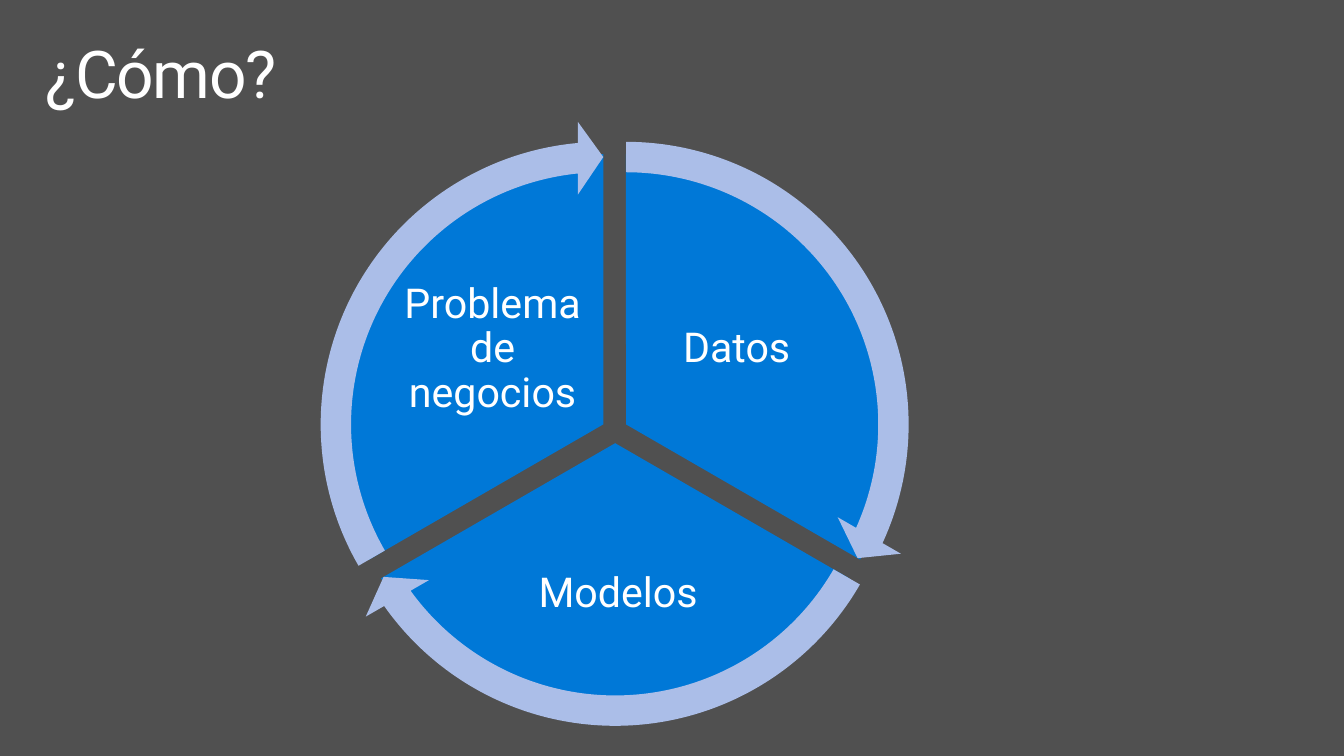
"""Build a slide with a three-part cycle of wedges and circular arrows."""
from dataclasses import dataclass

from pptx import Presentation
from pptx.dml.color import RGBColor
from pptx.enum.shapes import MSO_SHAPE
from pptx.enum.text import MSO_ANCHOR, MSO_AUTO_SIZE, PP_ALIGN
from pptx.util import Inches, Pt

PIE = MSO_SHAPE.PIE
CIRCULAR_ARROW = MSO_SHAPE.CIRCULAR_ARROW
TOP, MIDDLE = MSO_ANCHOR.TOP, MSO_ANCHOR.MIDDLE
LEFT, CENTER = PP_ALIGN.LEFT, PP_ALIGN.CENTER
NO_AUTOFIT = MSO_AUTO_SIZE.NONE

FONT = "Roboto"
BACKGROUND, WHITE, BLUE, LAVENDER = "505050", "FFFFFF", "0078D7", "ABBEE8"
WEDGE_SIZE = 5.47
ARROW_MARGIN = 0.34
ARROW_SIZE = WEDGE_SIZE + 2 * ARROW_MARGIN
ARROW_THICKNESS, ARROW_HEAD_WIDTH, ARROW_HEAD_ANGLE = 0.05, 0.06, 3.28
UNITS_PER_DEGREE = 0.6


@dataclass(frozen=True)
class Stage:
    """A wedge of the cycle, its angles in degrees and its label box in inches."""

    label: str
    left: float
    top: float
    start: float
    end: float
    label_box: tuple[float, float, float, float]


STAGES = [
    Stage("Datos", 3.6, 1.56, 270, 30, (6.48, 2.72, 1.95, 1.63)),
    Stage("Modelos", 3.49, 1.75, 30, 150, (4.79, 5.3, 2.93, 1.43)),
    Stage("Problema de negocios", 3.37, 1.56, 150, 270, (4.01, 2.72, 1.95, 1.63)),
]


def color(value: str) -> RGBColor:
    """Turn a hex string into a colour."""
    return RGBColor.from_string(value)


def write_text(box, text: str, size: float, align, anchor, inset_x: float, inset_y: float) -> None:
    """Fill a box with one formatted paragraph."""
    frame = box.text_frame
    frame.word_wrap = True
    frame.auto_size = NO_AUTOFIT
    frame.vertical_anchor = anchor
    frame.margin_left = frame.margin_right = Inches(inset_x)
    frame.margin_top = frame.margin_bottom = Inches(inset_y)
    para = frame.paragraphs[0]
    para.text = text
    para.alignment = align
    para.line_spacing = 0.9
    para.space_before = Pt(0)
    para.font.name = FONT
    para.font.size = Pt(size)
    para.font.color.rgb = color(WHITE)


def add_title(page, text: str) -> None:
    """Place and format the title placeholder."""
    title = page.shapes.title
    title.left, title.top = Inches(0.3), Inches(0.32)
    title.width, title.height = Inches(13), Inches(1)
    write_text(title, text, 48, LEFT, TOP, 0.16, 0.1)
    span = title.text_frame.paragraphs[0].runs[0]
    span.font._element.set("spc", "-100")


def add_round_shape(page, kind, left: float, top: float, size: float, fill: str,
                    adjustments: list[float]) -> None:
    """Draw a flat preset shape in a square frame."""
    shape = page.shapes.add_shape(kind, Inches(left), Inches(top), Inches(size), Inches(size))
    shape.shadow.inherit = False
    shape.fill.solid()
    shape.fill.fore_color.rgb = color(fill)
    shape.line.fill.background()
    for index, value in enumerate(adjustments):
        shape.adjustments[index] = value


def add_wedge(page, stage: Stage) -> None:
    """Draw the wedge of a stage with its label."""
    angles = [stage.start * UNITS_PER_DEGREE, stage.end * UNITS_PER_DEGREE]
    add_round_shape(page, PIE, stage.left, stage.top, WEDGE_SIZE, BLUE, angles)
    box = page.shapes.add_textbox(*(Inches(length) for length in stage.label_box))
    write_text(box, stage.label, 30, CENTER, MIDDLE, 0.04, 0.04)


def add_arrow(page, stage: Stage) -> None:
    """Draw the circular arrow around a stage."""
    adjustments = [
        ARROW_THICKNESS,
        ARROW_HEAD_ANGLE,
        stage.end * UNITS_PER_DEGREE - ARROW_HEAD_ANGLE,
        stage.start * UNITS_PER_DEGREE,
        ARROW_HEAD_WIDTH,
    ]
    add_round_shape(page, CIRCULAR_ARROW, stage.left - ARROW_MARGIN, stage.top - ARROW_MARGIN,
                    ARROW_SIZE, LAVENDER, adjustments)


def main() -> None:
    """Build and save the deck."""
    deck = Presentation()
    deck.slide_width, deck.slide_height = Inches(13.6), Inches(7.65)
    page = deck.slides.add_slide(deck.slide_layouts[5])
    page.background.fill.solid()
    page.background.fill.fore_color.rgb = color(BACKGROUND)
    add_title(page, "¿Cómo?")
    for stage in STAGES:
        add_wedge(page, stage)
    for stage in STAGES:
        add_arrow(page, stage)
    deck.save("out.pptx")


if __name__ == "__main__":
    main()
